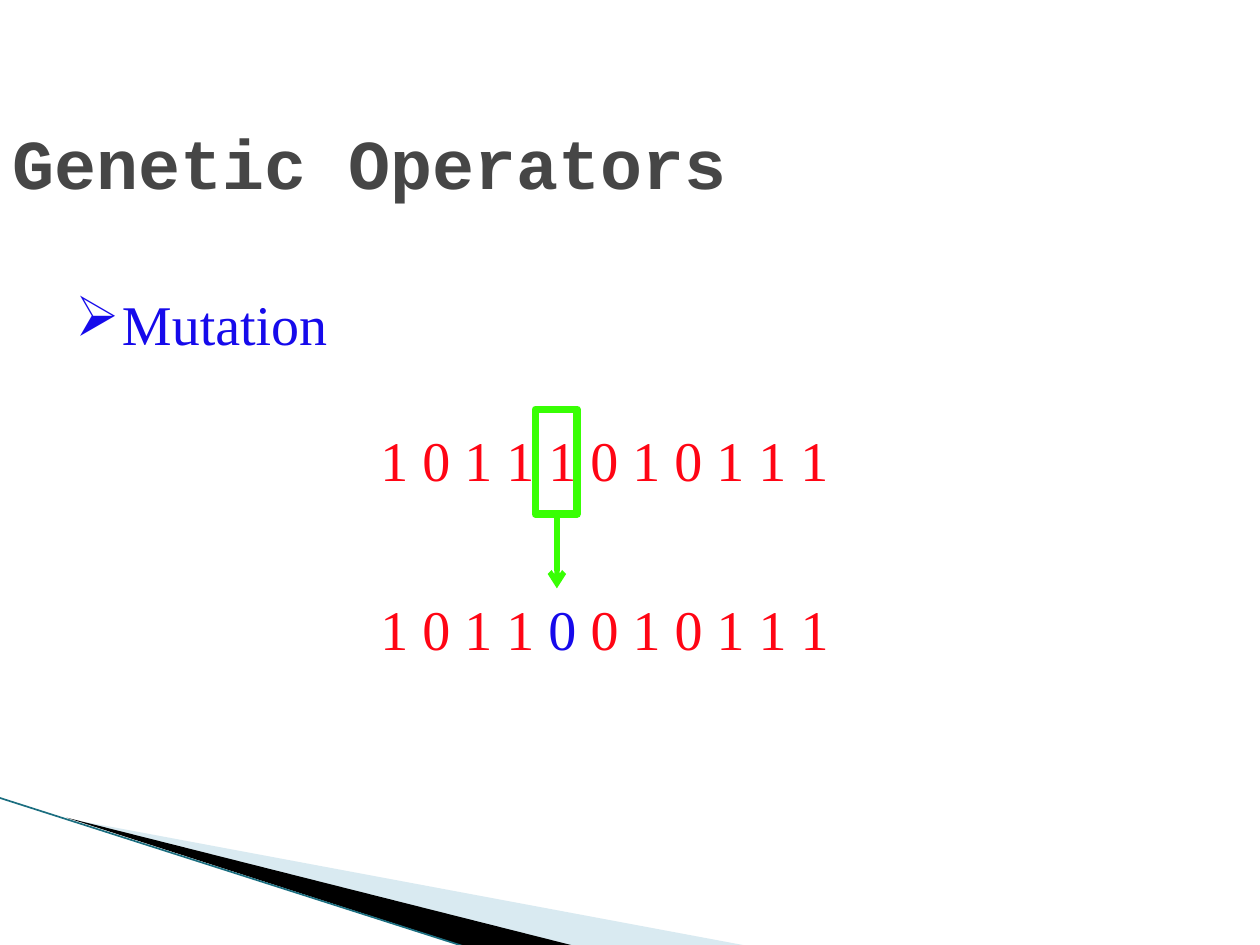
"""Build the Genetic Operators slide that shows a mutation of one bit."""
from typing import NamedTuple

from lxml import etree
from pptx import Presentation
from pptx.dml.color import RGBColor
from pptx.enum.shapes import MSO_CONNECTOR, MSO_SHAPE
from pptx.enum.text import MSO_ANCHOR, PP_ALIGN
from pptx.oxml.ns import qn
from pptx.util import Inches, Pt

STRAIGHT = MSO_CONNECTOR.STRAIGHT
RECTANGLE = MSO_SHAPE.RECTANGLE
MIDDLE = MSO_ANCHOR.MIDDLE
LEFT = PP_ALIGN.LEFT

COLORS = {
    "title": "464646",
    "blue": "160AEB",
    "red": "FF0514",
    "green": "38FF04",
    "pale": "A0CBDC",
    "black": "000000",
    "teal": "1B6E80",
}
SERIF = "Times New Roman"
MONOSPACE = "Courier New"


class TextPiece(NamedTuple):
    text: str
    color: str


class TextLine(NamedTuple):
    left: float
    top: float
    width: float
    pieces: list[TextPiece]
    bullet: str = ""


class Wedge(NamedTuple):
    points: list[tuple[float, float]]
    color: str
    opacity: int


class Stroke(NamedTuple):
    start: tuple[float, float]
    end: tuple[float, float]
    color: str
    width: float
    arrow: bool = False


WEDGES = [
    Wedge([(0.55, 6.5), (5.95, 7.51), (4.56, 7.51)], "pale", 40),
    Wedge([(0.53, 6.49), (4.57, 7.51), (3.72, 7.52)], "black", 100),
]
EDGE = Stroke((-0.01, 6.33), (3.71, 7.52), "teal", 0.95)
MUTATION_ARROW = Stroke((4.42, 4.08), (4.42, 4.67), "green", 3, True)
HEADING = TextLine(0.5, 2.25, 8.5, [TextPiece("Mutation", "blue")], "\u27a2")
PARENT = TextLine(2.92, 3.33, 4.67, [TextPiece("1 0 1 1 1 0 1 0 1 1 1", "red")])
CHILD = TextLine(2.92, 4.67, 4.67, [
    TextPiece("1 0 1 1 ", "red"),
    TextPiece("0", "blue"),
    TextPiece(" 0 1 0 1 1 1", "red"),
])


def rgb(name: str) -> RGBColor:
    return RGBColor.from_string(COLORS[name])


def add_run(paragraph, piece: TextPiece, font_name: str, size: int, bold: bool = False) -> None:
    run = paragraph.add_run()
    run.text = piece.text
    run.font.name = font_name
    run.font.size = Pt(size)
    run.font.bold = bold
    run.font.color.rgb = rgb(piece.color)


def add_bullet(paragraph, character: str, color: str) -> None:
    properties = paragraph._p.get_or_add_pPr()
    indent = Inches(0.37)
    properties.set("marL", str(indent))
    properties.set("indent", str(-indent))
    bullet_color = etree.SubElement(properties, qn("a:buClr"))
    etree.SubElement(bullet_color, qn("a:srgbClr"), val=COLORS[color])
    etree.SubElement(properties, qn("a:buChar"), char=character)


def add_text_line(slide, line: TextLine) -> None:
    box = slide.shapes.add_textbox(
        Inches(line.left), Inches(line.top), Inches(line.width), Inches(1.08))
    box.text_frame.word_wrap = True
    paragraph = box.text_frame.paragraphs[0]
    paragraph.space_before = Pt(8)
    if line.bullet:
        add_bullet(paragraph, line.bullet, line.pieces[0].color)
    for piece in line.pieces:
        add_run(paragraph, piece, SERIF, 32)


def add_wedge(slide, wedge: Wedge) -> None:
    points = [(Inches(x), Inches(y)) for x, y in wedge.points]
    builder = slide.shapes.build_freeform(*points[0])
    builder.add_line_segments(points[1:], close=True)
    shape = builder.convert_to_shape()
    shape.shadow.inherit = False
    shape.line.fill.background()
    shape.fill.solid()
    shape.fill.fore_color.rgb = rgb(wedge.color)
    if wedge.opacity < 100:
        color = shape._element.spPr.find(qn("a:solidFill"))[0]
        etree.SubElement(color, qn("a:alpha"), val=str(wedge.opacity * 1000))


def add_stroke(slide, stroke: Stroke) -> None:
    ends = [Inches(value) for value in stroke.start + stroke.end]
    connector = slide.shapes.add_connector(STRAIGHT, *ends)
    connector.line.color.rgb = rgb(stroke.color)
    connector.line.width = Pt(stroke.width)
    if stroke.arrow:
        etree.SubElement(connector.line._get_or_add_ln(), qn("a:tailEnd"), type="arrow")
    etree.SubElement(connector._element.spPr, qn("a:effectLst"))


def add_bit_frame(slide) -> None:
    frame = slide.shapes.add_shape(
        RECTANGLE, Inches(4.25), Inches(3.25), Inches(0.33), Inches(0.83))
    frame.shadow.inherit = False
    frame.fill.background()
    frame.line.color.rgb = rgb("green")
    frame.line.width = Pt(4.5)


def format_title(title) -> None:
    title.left, title.top = Inches(0), Inches(0.9)
    title.width, title.height = Inches(8.5), Inches(0.77)
    title.text_frame.vertical_anchor = MIDDLE
    paragraph = title.text_frame.paragraphs[0]
    paragraph.alignment = LEFT
    add_run(paragraph, TextPiece("Genetic Operators", "title"), MONOSPACE, 40, True)


def main() -> None:
    presentation = Presentation()
    presentation.slide_width = Inches(10)
    presentation.slide_height = Inches(7.5)
    slide = presentation.slides.add_slide(presentation.slide_layouts[5])
    for wedge in WEDGES:
        add_wedge(slide, wedge)
    add_stroke(slide, EDGE)
    format_title(slide.shapes.title)
    add_text_line(slide, HEADING)
    add_text_line(slide, PARENT)
    add_bit_frame(slide)
    add_stroke(slide, MUTATION_ARROW)
    add_text_line(slide, CHILD)
    presentation.save("out.pptx")


main()
